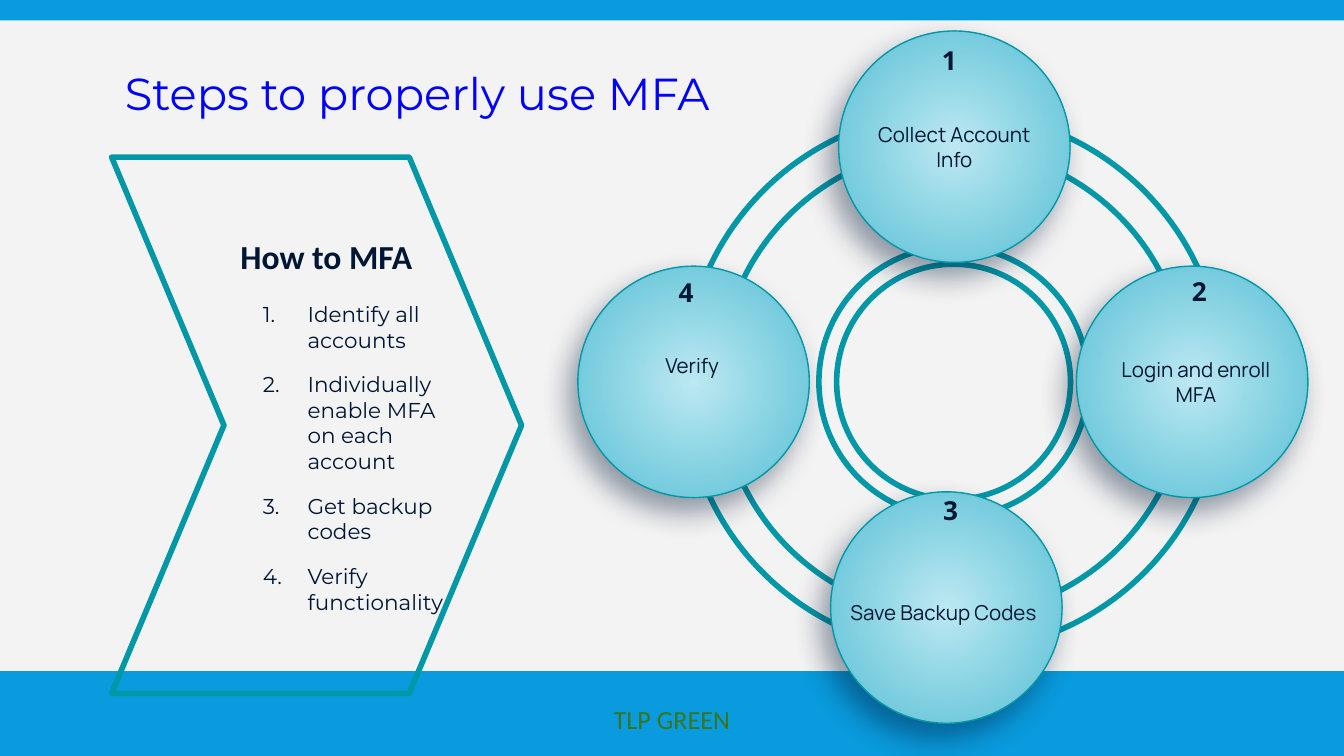
from dataclasses import dataclass
from typing import NamedTuple

from lxml.etree import SubElement
from pptx import Presentation
from pptx.dml.color import RGBColor
from pptx.enum.shapes import MSO_SHAPE
from pptx.enum.text import MSO_ANCHOR, PP_ALIGN
from pptx.oxml.ns import qn
from pptx.util import Pt


@dataclass(frozen=True)
class Theme:
    back: str = "F3F3F3"
    band: str = "099BDD"
    teal: str = "0097A7"
    pale: str = "BCE8F1"
    deep: str = "56BFD5"
    ink: str = "001633"
    blue: str = "0000FF"
    green: str = "38761D"
    title: float = 24
    head: float = 18
    mark: float = 14
    item: float = 11.5
    label: float = 11


class Box(NamedTuple):
    left: float
    top: float
    width: float
    height: float

    def emu(self) -> list:
        return [Pt(n) for n in self]


class Step(NamedTuple):
    mark: str
    label: str
    ball: Box
    text: Box
    spot: Box
    side: PP_ALIGN = PP_ALIGN.LEFT
    space: float = 1.0
    foot: float = 7.2


class Ring(NamedTuple):
    box: Box
    turn: float


THEME = Theme()
SIZE = 124
STEPS = [
    Step("4", "Verify", Box(309.6, 142.6, SIZE, SIZE), Box(308.9, 142.6, SIZE, 121),
         Box(352.8, 141.1, 25.9, 31.7), side=PP_ALIGN.RIGHT, foot=22.2),
    Step("1", "Collect Account\nInfo", Box(449.3, 16.6, SIZE, SIZE),
         Box(449.3, 16.6, SIZE, SIZE), Box(497.5, 16.6, 29.5, 31.7)),
    Step("3", "Save Backup Codes", Box(445, 263.5, SIZE, SIZE),
         Box(443.5, 266.4, SIZE, 121), Box(498.2, 257.8, 29.5, 31.7), space=1.15),
    Step("2", "Login and enroll\nMFA", Box(576.7, 142.6, SIZE, SIZE),
         Box(581, 142.6, 119.5, SIZE), Box(631.4, 140.4, 25.2, 31.7)),
]
RINGS = [Ring(Box(366.5, 59.8, 288.7, 289.4), 180),
         Ring(Box(385.2, 79.2, 251.3, 250.6), 270)]
ITEMS = ["Identify all accounts", "Individually enable MFA on each account",
         "Get backup codes", "Verify functionality"]


def rgb(code: str) -> RGBColor:
    return RGBColor.from_string(code)


def style(para, face: str, size: float, tint: str, bold: bool = False) -> None:
    font = para.font
    font.name, font.size, font.bold = face, Pt(size), bold
    font.color.rgb = rgb(tint)


def add_text(slide, box: Box, text: str, anchor=MSO_ANCHOR.TOP, foot: float = 7.2):
    """Add a wrapped text box and return its frame."""
    frame = slide.shapes.add_textbox(*box.emu()).text_frame
    frame.word_wrap = True
    frame.vertical_anchor = anchor
    frame.margin_left = frame.margin_right = frame.margin_top = Pt(7.2)
    frame.margin_bottom = Pt(foot)
    frame.paragraphs[0].text = text
    return frame


def add_band(slide, box: Box):
    band = slide.shapes.add_shape(MSO_SHAPE.RECTANGLE, *box.emu())
    band.shadow.inherit = False
    band.fill.solid()
    band.fill.fore_color.rgb = rgb(THEME.band)
    band.line.fill.background()
    return band


def add_line(slide, kind, box: Box, adjust: float, turn: float = 0) -> None:
    """Add a hollow shape with a thick teal edge."""
    shape = slide.shapes.add_shape(kind, *box.emu())
    shape.adjustments[0] = adjust
    shape.rotation = turn
    shape.shadow.inherit = False
    shape.fill.background()
    shape.line.color.rgb = rgb(THEME.teal)
    shape.line.width = Pt(3)


def add_ball(slide, box: Box) -> None:
    """Add a circle with a radial gradient and a soft shadow."""
    ball = slide.shapes.add_shape(MSO_SHAPE.OVAL, *box.emu())
    ball.line.color.rgb = rgb(THEME.teal)
    ball.line.width = Pt(0.75)
    ball.fill.gradient()
    tints = (THEME.pale, THEME.deep)
    for place, (stop, tint) in enumerate(zip(ball.fill.gradient_stops, tints)):
        stop.position = place
        stop.color.rgb = rgb(tint)
    props = ball.element.spPr
    grad = props.find(qn("a:gradFill"))
    grad.remove(grad.find(qn("a:lin")))
    round_ = SubElement(grad, qn("a:path"), {"path": "circle"})
    SubElement(round_, qn("a:fillToRect"), dict.fromkeys("ltrb", "50000"))
    ball.shadow.inherit = False
    shade = SubElement(props.find(qn("a:effectLst")), qn("a:outerShdw"), {
        "blurRad": str(Pt(15.8)), "dist": str(Pt(9)), "dir": str(125 * 60000),
        "algn": "bl", "rotWithShape": "0"})
    tint = SubElement(shade, qn("a:srgbClr"), {"val": THEME.ink})
    SubElement(tint, qn("a:alpha"), {"val": "41000"})


def add_step(slide, step: Step) -> None:
    """Add the label and number of one step."""
    frame = add_text(slide, step.text, step.label, MSO_ANCHOR.MIDDLE, step.foot)
    para = frame.paragraphs[0]
    para.alignment = PP_ALIGN.CENTER
    para.line_spacing = step.space
    style(para, "Manrope", THEME.label, THEME.ink)
    para = add_text(slide, step.spot, step.mark).paragraphs[0]
    para.alignment = step.side
    style(para, "Open Sans", THEME.mark, THEME.ink, True)


def add_list(slide, box: Box) -> None:
    frame = add_text(slide, box, "How to MFA", MSO_ANCHOR.MIDDLE)
    style(frame.paragraphs[0], "Calibri", THEME.head, THEME.ink, True)
    for rank, item in enumerate(ITEMS):
        para = frame.add_paragraph()
        para.text = item
        para.space_before = Pt(10 if rank else 13)
        props = para._p.get_or_add_pPr()
        props.set("marL", str(Pt(36)))
        props.set("indent", str(Pt(-24)))
        tint = SubElement(props, qn("a:buClr"))
        SubElement(tint, qn("a:srgbClr"), {"val": THEME.ink})
        SubElement(props, qn("a:buAutoNum"), {"type": "arabicPeriod"})
        style(para, "Montserrat", THEME.item, THEME.ink)


def main() -> None:
    deck = Presentation()
    deck.slide_width, deck.slide_height = Pt(720), Pt(405)
    slide = deck.slides.add_slide(deck.slide_layouts[6])
    slide.background.fill.solid()
    slide.background.fill.fore_color.rgb = rgb(THEME.back)

    foot = add_band(slide, Box(0, 359.5, 720, 51)).text_frame
    para = foot.paragraphs[0]
    para.text = "TLP GREEN"
    para.alignment = PP_ALIGN.CENTER
    style(para, "Calibri", THEME.mark, THEME.green)
    add_band(slide, Box(0, 0, 720, 11))

    add_line(slide, MSO_SHAPE.CHEVRON, Box(59.8, 84.2, 219.6, 287.3), 0.274)
    add_list(slide, Box(121.7, 84.2, 130.3, 287.3))

    for ring in RINGS:
        add_line(slide, MSO_SHAPE.DONUT, ring.box, 0.25, ring.turn)
    for step in STEPS:
        add_ball(slide, step.ball)
    for step in STEPS:
        add_step(slide, step)

    title = add_text(slide, Box(59.8, 28, 575, 74), "Steps to properly use MFA")
    style(title.paragraphs[0], "Montserrat", THEME.title, THEME.blue)
    deck.save("out.pptx")


if __name__ == "__main__":
    main()
